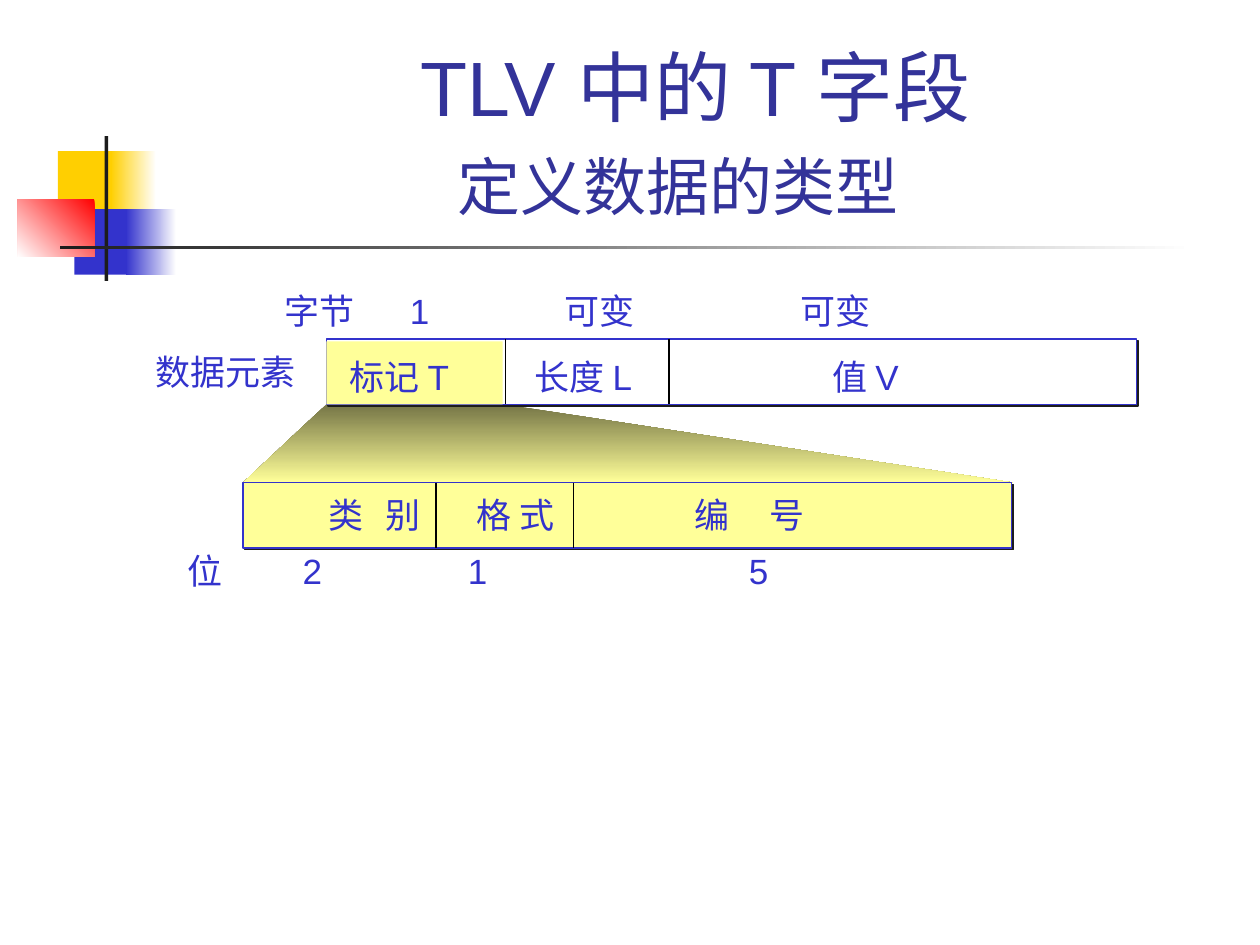
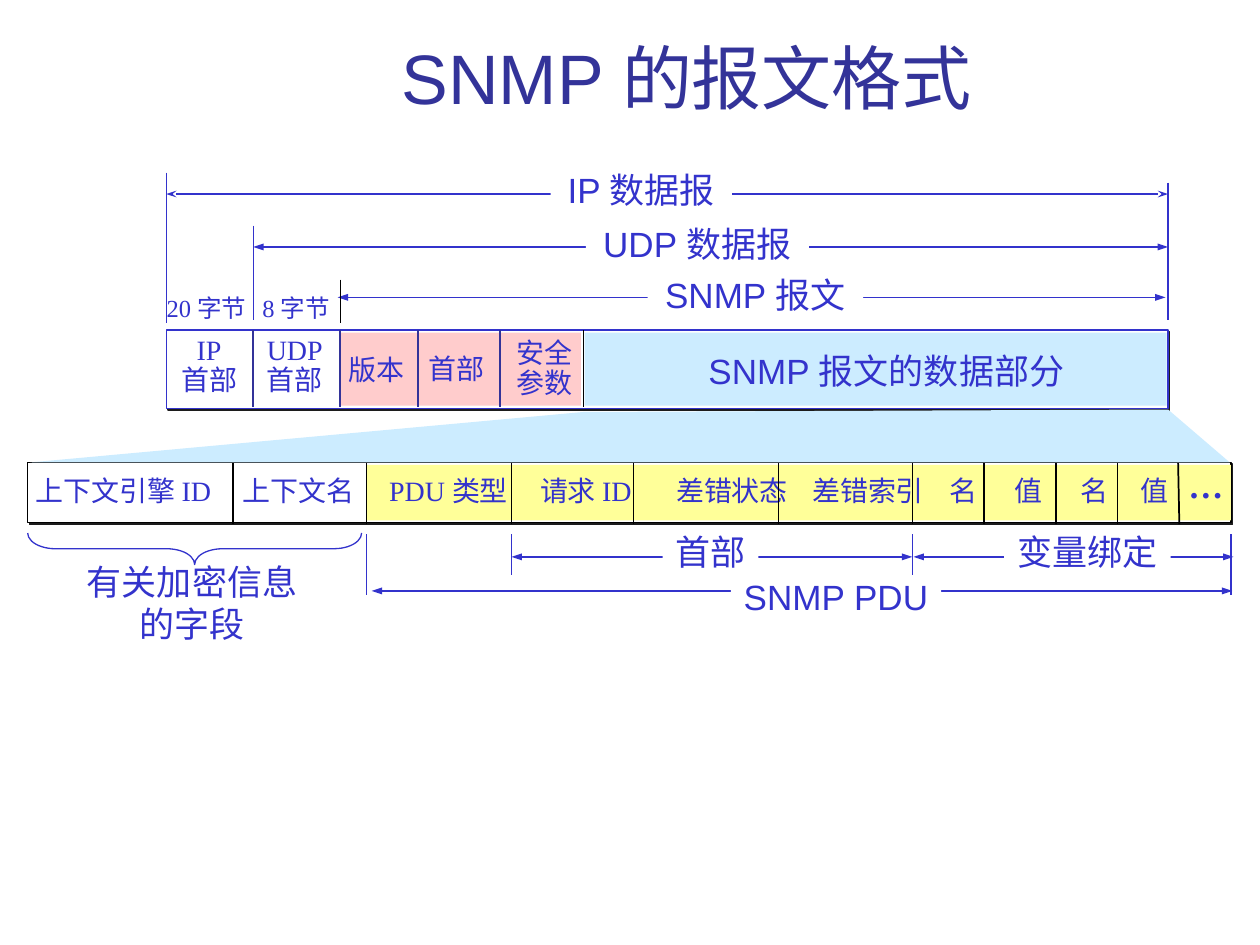
import pptx
import pptx.dml.color
import pptx.enum.shapes
import pptx.enum.text
import pptx.oxml.ns
import pptx.util
from dataclasses import dataclass
from lxml import etree

Inches = pptx.util.Inches
Pt = pptx.util.Pt
RGB = pptx.dml.color.RGBColor.from_string
MSO = pptx.enum.shapes.MSO_SHAPE
ANCHOR = pptx.enum.text.MSO_ANCHOR
CENTER = pptx.enum.text.PP_ALIGN.CENTER
qn = pptx.oxml.ns.qn


@dataclass(frozen=True)
class Theme:
    blue: str = "3333CC"
    navy: str = "333399"
    black: str = "000000"
    ink: str = "1C1C1C"
    white: str = "FFFFFF"
    gold: str = "FFCF01"
    red: str = "FF0000"
    yellow: str = "FFFF99"
    olive: str = "757546"
    sky: str = "CCECFF"
    pink: str = "FFCCCC"
    sans: str = "Arial"
    serif: str = "Times New Roman"
    title: int = 44
    title_single: int = 40
    subtitle: int = 36
    label: int = 20
    field: int = 16
    note: int = 14


T = Theme()


def box(s, x=0, y=0, w=0, h=0, fill=None, line=None, shadow=False, points=None,
        preset=MSO.RECTANGLE, text=None, size=T.label, font=T.sans,
        color=T.blue, spacing=1.0, tracking=0, title=False):
    """Add a preset, an outline through points, or centred text.

    A fill of (from, to, clockwise angle) is a gradient; tracking is in points.
    """
    area = [Inches(v) for v in (x, y, w, h)]
    if text:
        sp = s.shapes.add_textbox(*area)
    elif points:
        corners = [(Inches(px), Inches(py)) for px, py in points]
        fb = s.shapes.build_freeform(*corners[0])
        fb.add_line_segments(corners[1:], close=True)
        sp = fb.convert_to_shape()
    else:
        sp = s.shapes.add_shape(preset, *area)

    sp.shadow.inherit = False
    if shadow:
        effects = sp.element.spPr.find(qn("a:effectLst"))
        outer = etree.SubElement(effects, qn("a:outerShdw"), dist=str(Pt(1.4)),
                                 dir="2700000", algn="ctr", rotWithShape="0")
        etree.SubElement(outer, qn("a:srgbClr"), val=T.ink)

    if isinstance(fill, tuple):
        sp.fill.gradient()
        sp.fill.gradient_angle = (360 - fill[2]) % 360
        for stop, stop_color in zip(sp.fill.gradient_stops, fill):
            stop.color.rgb = RGB(stop_color)
    elif fill:
        sp.fill.solid()
        sp.fill.fore_color.rgb = RGB(fill)
    else:
        sp.fill.background()
    if line:
        sp.line.color.rgb = RGB(line)
        sp.line.width = Pt(0.75)
    else:
        sp.line.fill.background()

    if text:
        tf = sp.text_frame
        tf.word_wrap = title
        tf.vertical_anchor = ANCHOR.BOTTOM if title else ANCHOR.TOP
        for i, words in enumerate(text.split("\n")):
            p = tf.add_paragraph() if i else tf.paragraphs[0]
            p.alignment = CENTER
            p.line_spacing = spacing
            r = p.add_run()
            r.text = words
            r.font.name = font
            r.font.size = Pt(size)
            r.font.color.rgb = RGB(color)
            if tracking:
                r._r.get_or_add_rPr().set("spc", str(tracking * 100))
    return sp


def rule(s, x1, y1, x2, y2, color=T.blue, width=0.75, arrows=None):
    """Draw a straight line, with the named arrowhead at both ends if given."""
    c = s.shapes.add_connector(pptx.enum.shapes.MSO_CONNECTOR.STRAIGHT,
                               Inches(x1), Inches(y1), Inches(x2), Inches(y2))
    c.line.color.rgb = RGB(color)
    c.line.width = Pt(width)
    spPr = c.element.spPr
    if arrows:
        for end in ("a:headEnd", "a:tailEnd"):
            etree.SubElement(spPr.find(qn("a:ln")), qn(end), type=arrows, w="sm")
    etree.SubElement(spPr, qn("a:effectLst"))


prs = pptx.Presentation()
prs.slide_width, prs.slide_height = Inches(10), Inches(7.5)
blank = prs.slide_layouts[6]

# Slide 1: the T field of TLV
s = prs.slides.add_slide(blank)
for x, y, w, h, fill in [
    (0.46, 1.2, 0.48, 0.52, T.gold),
    (0.88, 1.2, 0.36, 0.52, (T.white, T.gold, 180)),
    (0.59, 1.66, 0.46, 0.52, T.blue),
    (1, 1.66, 0.4, 0.52, (T.white, T.blue, 180)),
    (0.14, 1.58, 0.61, 0.46, (T.red, T.white, 135)),
    (0.83, 1.08, 0.03, 1.15, T.ink),
    (0.48, 1.95, 9, 0.03, (T.white, T.ink, 180)),
]:
    box(s, x, y, w, h, fill)

title = box(s, 1.26, 0.23, 8.52, 1.59, text="TLV 中的 T 字段\n定义数据的类型",
            size=T.title, color=T.navy, title=True)
p = title.text_frame.paragraphs[1]
p.runs[0].font.size = Pt(T.subtitle)
p.space_before = Pt(9)
p._p.get_or_add_pPr().set("marR", str(Inches(0.28)))

box(s, points=[(1.93, 3.83), (2.59, 3.21), (4, 3.21), (8.04, 3.83)],
    fill=(T.olive, T.yellow, 90))
box(s, 2.59, 2.69, 6.43, 0.52, T.white, T.blue, shadow=True)
box(s, 2.59, 2.71, 1.4, 0.5, T.yellow)
box(s, 1.93, 3.83, 6.1, 0.52, T.yellow, T.blue, shadow=True)
for top, dividers in [(2.69, (4.01, 5.31)), (3.83, (3.46, 4.55))]:
    for x in dividers:
        rule(s, x, top, x, top + 0.52, T.black)

label_rows = [
    (2.25, [("字节", 2.54), ("1", 3.33), ("可变", 4.76), ("可变", 6.63)]),
    (2.73, [("数据元素", 1.79)]),
    (2.77, [("标记 T", 3.17), ("长度 L", 4.63), ("值 V", 6.87)]),
    (3.87, [("类 别", 2.97, 4), ("格 式", 4.09), ("编 号", 5.95, 9)]),
    (4.31, [("位", 1.63), ("2", 2.48), ("1", 3.79), ("5", 6.02)]),
]
for top, labels in label_rows:
    for words, center, *tracking in labels:
        box(s, center - 0.7, top, 1.4, 0.44, text=words,
            tracking=tracking[0] if tracking else 0)

# Slide 2: SNMP message format
s = prs.slides.add_slide(blank)
box(s, 1.19, 0.31, 8.52, 0.68, text="SNMP 的报文格式",
    size=T.title_single, color=T.navy, title=True)

# Spans: words, label left, label top, label width, arrow from, to, height, head
for words, x, y, w, start, end, level, head in [
    ("IP 数据报", 4.37, 1.29, 1.44, 1.32, 9.27, 1.54, "stealth"),
    ("UDP 数据报", 4.65, 1.72, 1.77, 2.01, 9.27, 1.96, "triangle"),
    ("SNMP 报文", 5.14, 2.12, 1.71, 2.68, 9.25, 2.36, "triangle"),
    ("首部", 5.26, 4.16, 0.76, 4.06, 7.24, 4.42, "triangle"),
    ("变量绑定", 7.97, 4.16, 1.32, 7.25, 9.79, 4.42, "triangle"),
    ("SNMP PDU", 5.8, 4.52, 1.67, 2.95, 9.78, 4.69, "triangle"),
]:
    rule(s, start, level, end, level, arrows=head)
    box(s, x, y, w, 0.43, T.white, text=words)

for x, top, bottom, color in [
    (1.32, 1.37, 2.56, T.blue), (2.01, 1.79, 2.54, T.blue),
    (2.7, 2.22, 2.56, T.black), (9.27, 1.45, 2.54, T.blue),
    (2.91, 4.24, 4.72, T.blue), (4.06, 4.24, 4.56, T.blue),
    (7.24, 4.24, 4.56, T.blue), (9.77, 4.24, 4.72, T.blue),
]:
    rule(s, x, top, x, bottom, color)

# Whole datagram
box(s, 1.32, 2.62, 7.95, 0.62, T.white, T.blue, shadow=True)
box(s, 2.7, 2.64, 1.91, 0.58, T.pink)
box(s, 4.64, 2.64, 4.62, 0.58, T.sky)
for x in (2.01, 2.7, 3.32, 3.97):
    rule(s, x, 2.62, x, 3.23, T.navy, 1)
rule(s, 4.63, 2.62, 4.63, 3.23, T.black, 1)
for words, center, top, h in [
    ("IP\n首部", 1.66, 2.62, 0.58), ("UDP\n首部", 2.34, 2.62, 0.58),
    ("版本", 2.99, 2.78, 0.34), ("首部", 3.62, 2.77, 0.34),
    ("安全\n参数", 4.32, 2.64, 0.58),
]:
    box(s, center - 0.33, top, 0.66, h, text=words, size=T.field,
        font=T.serif, spacing=0.9)
box(s, 5.46, 2.76, 3.15, 0.4, text="SNMP 报文的数据部分", spacing=0.9)
for words, center in [("20 字节", 1.64), ("8 字节", 2.35)]:
    box(s, center - 0.44, 2.28, 0.88, 0.33, text=words, size=T.note, font=T.serif)

# Data part, expanded
box(s, 0.22, 3.67, 9.55, 0.48, T.white, T.black, shadow=True)
box(s, 2.91, 3.69, 6.86, 0.44, T.yellow)
for words, center, w in [
    ("上下文引擎 ID", 0.98, 1.9), ("上下文名", 2.37, 1.2),
    ("PDU 类型", 3.56, 1.4), ("请求 ID", 4.65, 1.2),
    ("差错状态", 5.81, 1.2), ("差错索引", 6.89, 1.2),
    ("名", 7.65, 0.5), ("值", 8.16, 0.5), ("名", 8.69, 0.5), ("值", 9.16, 0.5),
]:
    box(s, center - w / 2, 3.75, w, 0.33, text=words, size=T.field,
        font=T.serif, spacing=0.85)
more = box(s, 9.33, 3.63, 0.48, 0.44, text="…", font=T.serif)
more.text_frame.paragraphs[0].runs[0].font.bold = True
for x in (1.85, 2.91, 4.06, 5.03, 6.18, 7.24, 7.81, 8.38, 8.87):
    rule(s, x, 3.67, x, 4.16, T.black)
rule(s, 9.35, 3.67, 9.36, 4.16, T.black, 1)

box(s, 0.59, 4.4, 1.87, 0.77, T.white, text="有关加密信息\n的字段")
brace = box(s, 1.42, 3.03, 0.25, 2.65, line=T.blue, preset=MSO.LEFT_BRACE)
brace.rotation = 270
brace.adjustments[0] = 0.88
box(s, points=[(0.24, 3.67), (4.63, 3.27), (9.27, 3.25), (9.76, 3.67)], fill=T.sky)

prs.save("out.pptx")
